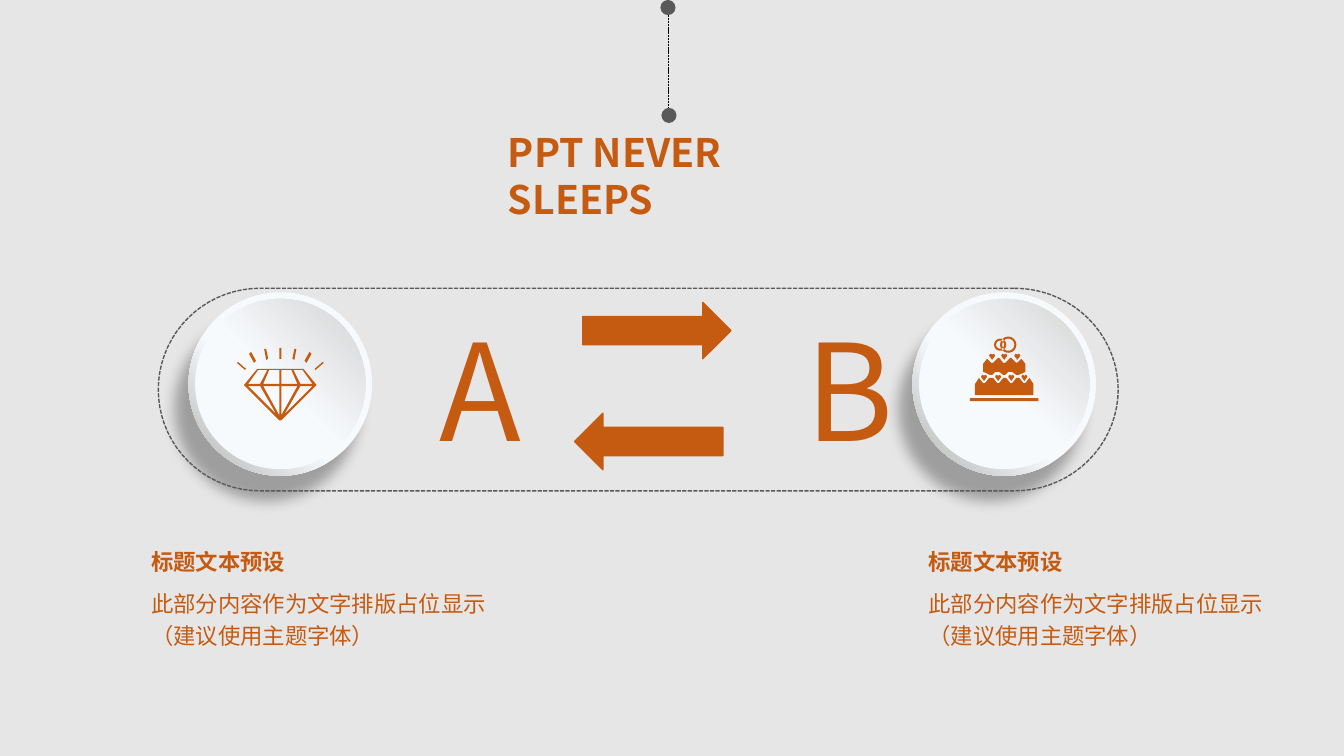
from dataclasses import dataclass
from math import cos, radians, sin

from pptx import Presentation
from pptx.dml.color import RGBColor
from pptx.enum.dml import MSO_LINE
from pptx.enum.shapes import MSO_CONNECTOR, MSO_SHAPE
from pptx.enum.text import MSO_ANCHOR, PP_ALIGN
from pptx.oxml import parse_xml
from pptx.oxml.ns import nsdecls, qn
from pptx.util import Inches, Pt

Point = tuple[float, float]
Path = list[Point]


@dataclass(frozen=True)
class Theme:
    font: str = "Noto Sans CJK SC"
    back: str = "E7E6E6"
    accent: str = "C55A11"
    grey: str = "595959"
    black: str = "000000"
    letter: int = 96
    title: int = 28
    body: int = 16


@dataclass(frozen=True)
class Disc:
    inset: float
    size: float
    angle: int
    stops: tuple[tuple[int, str], ...]
    shadow: bool


@dataclass(frozen=True)
class Label:
    text: str
    left: float
    top: float
    width: float
    height: float
    size: int
    bold: bool = False
    align: PP_ALIGN = PP_ALIGN.LEFT
    anchor: MSO_ANCHOR = MSO_ANCHOR.TOP
    space: float | None = None


theme = Theme()
deck = Presentation()
deck.slide_width, deck.slide_height = Inches(13.33), Inches(7.5)
slide = deck.slides.add_slide(deck.slide_layouts[6])
slide.background.fill.solid()
slide.background.fill.fore_color.rgb = RGBColor.from_string(theme.back)
shapes = slide.shapes


def paint(shape, color: str) -> None:
    shape.shadow.inherit = False
    shape.fill.solid()
    shape.fill.fore_color.rgb = RGBColor.from_string(color)
    shape.line.fill.background()


def stroke(line, color: str, width: float) -> None:
    line.color.rgb = RGBColor.from_string(color)
    line.width = Pt(width)


def add_preset(kind: MSO_SHAPE, left: float, top: float, width: float, height: float):
    return shapes.add_shape(kind, Inches(left), Inches(top), Inches(width), Inches(height))


def add_disc(disc: Disc, left: float, top: float) -> None:
    shape = add_preset(MSO_SHAPE.OVAL, left + disc.inset, top + disc.inset, disc.size, disc.size)
    shape.line.fill.background()
    shape.shadow.inherit = False
    shape.fill.gradient()
    shape.fill.gradient_angle = 360 - disc.angle
    props = shape.element.spPr
    stops = props.find(qn("a:gradFill")).find(qn("a:gsLst"))
    for stop in list(stops):
        stops.remove(stop)
    for place, color in disc.stops:
        stops.append(parse_xml(f'<a:gs {nsdecls("a")} pos="{place * 1000}"><a:srgbClr val="{color}"/></a:gs>'))
    if disc.shadow:
        props.find(qn("a:effectLst")).append(parse_xml(
            f'<a:outerShdw {nsdecls("a")} blurRad="{Pt(10)}" dist="{Pt(20)}" dir="{120 * 60000}" '
            f'algn="ctr" rotWithShape="0"><a:srgbClr val="{theme.black}">'
            '<a:alpha val="31000"/></a:srgbClr></a:outerShdw>'))


def add_path(paths: list[Path]):
    build = None
    for path in paths:
        points = [(Inches(x), Inches(y)) for x, y in path]
        if build is None:
            build = shapes.build_freeform(*points[0])
        else:
            build.move_to(*points[0])
        build.add_line_segments(points[1:], close=True)
    return build.convert_to_shape()


def arc(x: float, y: float, wide: float, high: float, start: int, sweep: int) -> Path:
    turns = [radians(start + sweep * i / 36) for i in range(37)]
    return [(x + wide * cos(t), y + high * sin(t)) for t in turns]


def flip(path: Path, axis: float) -> Path:
    return [(2 * axis - x, y) for x, y in path]


def add_label(label: Label) -> None:
    box = shapes.add_textbox(Inches(label.left), Inches(label.top), Inches(label.width), Inches(label.height))
    frame = box.text_frame
    frame.word_wrap = True
    frame.vertical_anchor = label.anchor
    para = frame.paragraphs[0]
    para.text = label.text
    para.alignment = label.align
    if label.space:
        para.line_spacing = label.space
    font = para.font
    font.name, font.size, font.bold = theme.font, Pt(label.size), label.bold
    font.color.rgb = RGBColor.from_string(theme.accent)
    for run in para.runs:
        run.font.language_id = None
        run.font._element.append(parse_xml(f'<a:ea {nsdecls("a")} typeface="{theme.font}"/>'))


# Raised discs
discs = (
    Disc(0, 1.82, 135, ((57, "F7FAFD"), (92, "BFBFBF"), (100, "A6A6A6")), True),
    Disc(0.065, 1.69, 315, ((49, "F7FAFD"), (92, "D9D9D9"), (100, "BFBFBF")), False),
)
for left in (1.87, 9.05):
    for disc in discs:
        add_disc(disc, left, 2.9)

# Exchange arrows
for left, top, turn in ((5.78, 3, 0), (5.7, 4.1, 180)):
    arrow = add_preset(MSO_SHAPE.RIGHT_ARROW, left, top, 1.47, 0.56)
    paint(arrow, theme.accent)
    stroke(arrow.line, theme.accent, 1)
    arrow.rotation = turn

# Dashed capsule
capsule = add_path([arc(10.06, 3.865, 1.03, 1.005, -90, 180) + arc(2.58, 3.865, 1.01, 1.005, 90, 180)])
capsule.shadow.inherit = False
capsule.fill.background()
stroke(capsule.line, theme.grey, 1)
capsule.line.dash_style = MSO_LINE.SQUARE_DOT

# Letters
for text, left in (("A", 4.26), ("B", 7.89)):
    add_label(Label(text, left, 3, 0.61, 1.31, theme.letter, align=PP_ALIGN.CENTER))

# Diamond: outline with mirrored facets, then rays
axis = 2.78
gem = [(3.01, 3.66), (2.55, 3.66), (2.42, 3.82), (2.77, 4.17), (2.79, 4.17), (3.14, 3.82)]
facets = [
    [(3, 3.67), (3.1, 3.81), (2.98, 3.81), (2.91, 3.67)],
    [(2.79, 3.67), (2.89, 3.67), (2.95, 3.81), (2.79, 3.81)],
    [(2.79, 3.83), (2.95, 3.83), (2.79, 4.12)],
    [(2.82, 4.11), (2.98, 3.83), (3.1, 3.83)],
]
paint(add_path([gem] + facets + [flip(facet, axis) for facet in facets]), theme.accent)
rays = [
    [(3.21, 3.6), (3.2, 3.59), (3.12, 3.66), (3.13, 3.67)],
    [(3.09, 3.51), (3.07, 3.49), (3.02, 3.58), (3.04, 3.6)],
    [(2.94, 3.46), (2.92, 3.46), (2.9, 3.56), (2.92, 3.57)],
]
for ray in rays + [flip(ray, axis) for ray in rays]:
    paint(add_path([ray]), theme.accent)
paint(add_preset(MSO_SHAPE.RECTANGLE, 2.77, 3.45, 0.02, 0.11), theme.accent)

# Cake: tiers, plate, hearts and rings
upper = [(9.75, 3.69), (9.75, 3.61), (9.79, 3.56), (9.83, 3.6), (9.85, 3.6), (9.9, 3.55), (9.91, 3.55),
         (9.95, 3.6), (9.97, 3.6), (10.02, 3.55), (10.03, 3.55), (10.08, 3.6), (10.1, 3.59), (10.13, 3.56),
         (10.17, 3.61), (10.17, 3.69), (10.1, 3.72), (10.08, 3.72), (10.04, 3.69), (10, 3.69),
         (9.97, 3.72), (9.95, 3.72), (9.91, 3.69), (9.87, 3.69), (9.84, 3.72), (9.82, 3.72), (9.78, 3.7)]
lower = [(9.67, 3.92), (9.67, 3.81), (9.71, 3.75)]
for x in (9.76, 9.9, 10.03, 10.16):
    lower += [(x - 0.05, 3.75), (x - 0.01, 3.8), (x + 0.01, 3.8), (x + 0.05, 3.75)]
lower += [(10.25, 3.81), (10.25, 3.92)]
plate = [(9.62, 3.95), (10.3, 3.95), (10.3, 3.98), (9.62, 3.98)]
spots = [(x, 3.51) for x in (9.84, 9.96, 10.09)] + [(x, 3.72) for x in (9.76, 9.9, 10.03, 10.16)]
heart = [(0, 0.01), (0.01, 0), (0.02, 0), (0.03, 0.02), (0, 0.06), (-0.03, 0.02), (-0.02, 0), (-0.01, 0)]
hearts = [[(x + dx, y + dy) for dx, dy in heart] for x, y in spots]
rings = [arc(x, 3.42, r, r, 0, 360) for x, r in ((10, 0.08), (10, 0.06), (9.92, 0.06), (9.92, 0.04))]
paint(add_path([upper, lower, plate] + hearts + rings), theme.accent)

# Title with its hanging line
add_label(Label("PPT NEVER SLEEPS", 4.94, 1.22, 3.37, 0.57, theme.title, True))
for left, top in ((6.55, 0), (6.56, 1.07)):
    paint(add_preset(MSO_SHAPE.OVAL, left, top, 0.15, 0.15), theme.grey)
cord = shapes.add_connector(MSO_CONNECTOR.STRAIGHT, Inches(6.63), Inches(0.15), Inches(6.63), Inches(1.07))
stroke(cord.line, theme.black, 0.5)
cord.line.dash_style = MSO_LINE.SQUARE_DOT
cord.element.spPr.append(parse_xml(f'<a:effectLst {nsdecls("a")}/>'))

# Captions
for left in (1.4, 9.11):
    add_label(Label("标题文本预设", left, 5.39, 3.91, 0.36, theme.body, True, anchor=MSO_ANCHOR.MIDDLE))
    add_label(Label("此部分内容作为文字排版占位显示\n（建议使用主题字体）", left, 5.75, 3.91, 0.53,
                    theme.body, space=1.2))

deck.save("out.pptx")
